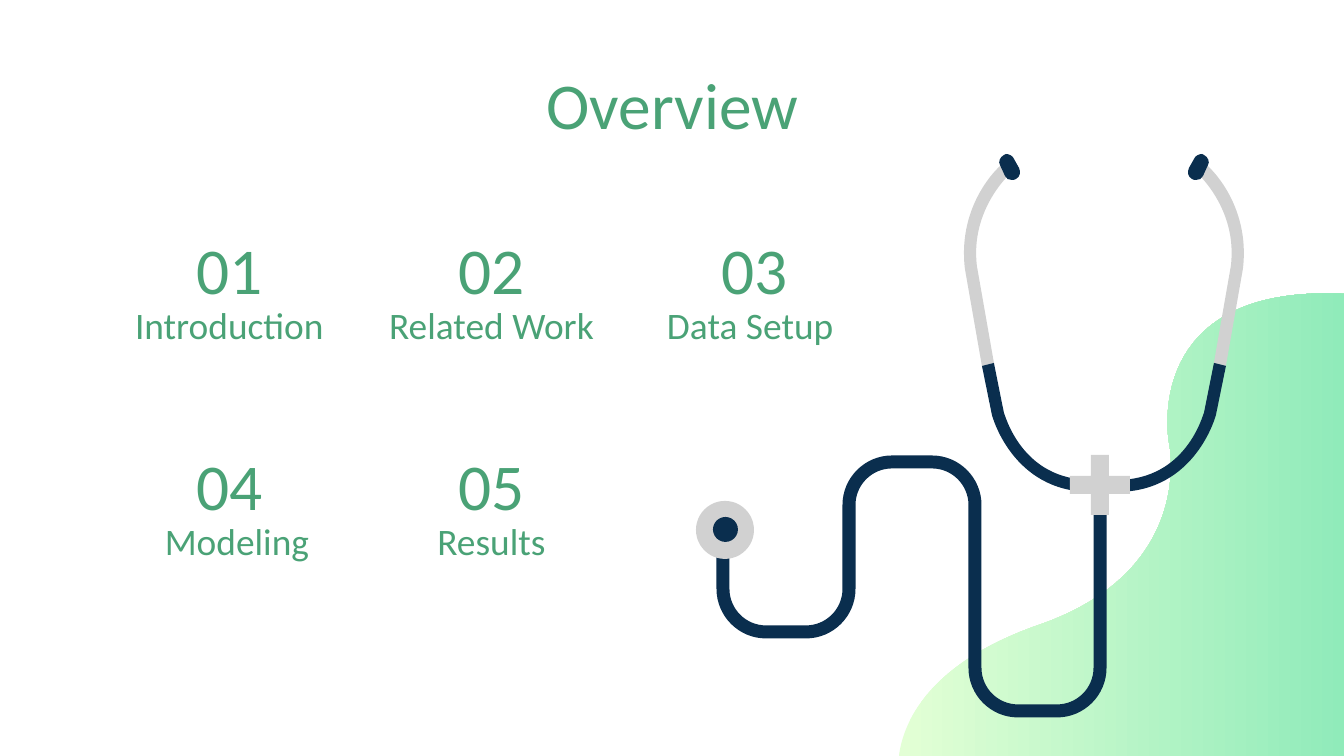
from pptx import Presentation
from pptx.util import Pt
from pptx.oxml.ns import qn
from pptx.oxml.xmlchemy import OxmlElement as Node
from pptx.dml.color import RGBColor as Rgb
from pptx.enum.shapes import MSO_SHAPE as Kind
from pptx.enum.text import PP_ALIGN as Align, MSO_ANCHOR as Anchor, MSO_AUTO_SIZE as Auto

SCALE = 914400 / 134.4
COLORS = {"text": "4AA276", "navy": "0A2E4E", "gray": "D1D1D1",
          "pale": "E3FFD5", "mint": "90EBBA"}
WAVE = [(0, 463), (4, 431, 28, 371, 140, 332), (299, 277, 270, 149, 270, 149),
        (270, 149, 241, -9, 445, 1), (445, 463)]
TUBE = [(504, 7), (499, 7, 495, 14, 500, 18), (500, 18, 542, 54, 535, 112),
        (518, 209), (530, 212), (547, 115), (555, 49, 511, 10, 508, 9),
        (507, 7, 506, 7, 504, 7)]
YOKE = [(518, 209), (508, 259), (507, 260, 491, 326, 421, 326), (411, 325),
        (410, 325, 404, 326, 403, 331), (403, 334, 406, 338, 410, 338),
        (421, 338), (500, 338, 520, 261, 520, 261), (530, 212)]
TIP = [(506, 0), (503, 0, 499, 2, 498, 5), (493, 14),
       (491, 18, 492, 23, 496, 25), (497, 26, 499, 26, 500, 26),
       (503, 26, 506, 25, 507, 22), (512, 11), (514, 8, 512, 3, 508, 1)]
HOSE = [(27, 351), (27, 478), (153, 478), (153, 308),
        (279, 308), (279, 557), (404, 557), (404, 338)]
TOPICS = [("01", "Introduction", 247), ("02", "Related Work", 247),
          ("03", "Data Setup ", 247), ("04", "Modeling", 262), ("05", "Results", 247)]


def emu(px):
    return round(px * SCALE)


def color(name):
    return Rgb.from_string(COLORS[name])


def paint(shape, name):
    shape.shadow.inherit = False
    shape.line.fill.background()
    shape.fill.solid()
    shape.fill.fore_color.rgb = color(name)
    return shape


def aim(start, end):
    dx, dy = end[0] - start[0], end[1] - start[1]
    size = abs(dx) + abs(dy)
    return dx / size, dy / size


def edge(route, half, radius):
    dx, dy = aim(*route[:2])
    steps = [(route[0][0] - dy * half, route[0][1] + dx * half)]
    for a, b, c in zip(route, route[1:], route[2:]):
        (dx, dy), (ex, ey) = aim(a, b), aim(b, c)
        mx, my = b[0] + radius * (ex - dx), b[1] + radius * (ey - dy)
        bend = radius - half * (dx * ey - dy * ex)
        pull = bend * 0.55
        sx, sy = mx - ex * bend, my - ey * bend
        tx, ty = mx + dx * bend, my + dy * bend
        steps += [(sx, sy), (sx + dx * pull, sy + dy * pull,
                             tx - ex * pull, ty - ey * pull, tx, ty)]
    dx, dy = aim(*route[-2:])
    return steps + [(route[-1][0] - dy * half, route[-1][1] + dx * half)]


def ribbon(route, half=6.5, radius=43):
    return edge(route, half, radius) + edge(route[::-1], half, radius)


def mirror(steps, width):
    return [tuple(v if i % 2 else width - v for i, v in enumerate(step)) for step in steps]


def outline(slide, box, steps, name):
    spots = [(emu(box[0] + step[i]), emu(box[1] + step[i + 1]))
             for step in steps for i in range(0, len(step), 2)]
    pen = slide.shapes.build_freeform(*spots[0], scale=1.0)
    pen.add_line_segments(spots[1:], close=True)
    shape = pen.convert_to_shape()
    lines = iter(list(shape.element.iter(qn("a:lnTo"))))
    for step in steps[1:]:
        first = next(lines)
        if len(step) == 6:
            curve = Node("a:cubicBezTo")
            first.addprevious(curve)
            for line in (first, next(lines), next(lines)):
                curve.append(line[0])
                line.getparent().remove(line)
    return paint(shape, name)


def preset(slide, box, kind, left, top, size, name):
    spot = (box[0] + left, box[1] + top, size, size)
    return paint(slide.shapes.add_shape(kind, *map(emu, spot)), name)


def write(shape, box, text, size, anchor=Anchor.TOP):
    shape.left, shape.top, shape.width, shape.height = map(emu, box)
    frame = shape.text_frame
    frame.text = text
    frame.word_wrap = True
    frame.auto_size = Auto.NONE
    frame.vertical_anchor = anchor
    frame.margin_left = frame.margin_right = emu(13)
    frame.margin_top = frame.margin_bottom = emu(13)
    para = frame.paragraphs[0]
    para.alignment = Align.CENTER
    font = para.runs[0].font
    font.name, font.size = "Calibri", Pt(size)
    font.color.rgb = color("text")


def wave(slide, box):
    fill = outline(slide, box, WAVE, "mint").fill
    fill.gradient()
    fill.gradient_angle = 0
    for stop, place, name in zip(fill.gradient_stops, (0, 1), ("pale", "mint")):
        stop.position = place
        stop.color.rgb = color(name)


def topics(slide, box):
    for i, (mark, label, width) in enumerate(TOPICS):
        left, top = box[0] + i % 3 * 525 // 2, box[1] + i // 3 * 216
        for text, drop, wide, high, size in ((mark, 0, 247, 59, 35), (label, 73, width, 47, 20)):
            area = slide.shapes.add_textbox(0, 0, 0, 0)
            write(area, (left, top + drop, wide, high), text, size)


def scope(slide, box):
    arm = ((TUBE, "gray"), (YOKE, "navy"), (TIP, "navy"))
    for flip in (False, True):
        for steps, name in arm:
            outline(slide, box, mirror(steps, 816) if flip else steps, name)
    outline(slide, box, ribbon(HOSE), "navy")
    cross = preset(slide, box, Kind.CROSS, 374, 301, 60, "gray")
    cross.adjustments[0] = 0.35
    preset(slide, box, Kind.OVAL, 0, 347, 58, "gray")
    preset(slide, box, Kind.OVAL, 17, 363, 25, "navy")


def main():
    deck = Presentation()
    deck.slide_width, deck.slide_height = emu(1344), emu(756)
    slide = deck.slides.add_slide(deck.slide_layouts[5])
    wave(slide, (899, 293))
    write(slide.shapes.title, (106, 80, 1133, 47), "Overview", 35, Anchor.MIDDLE)
    topics(slide, (106, 216))
    scope(slide, (696, 154))
    deck.save("out.pptx")


main()
